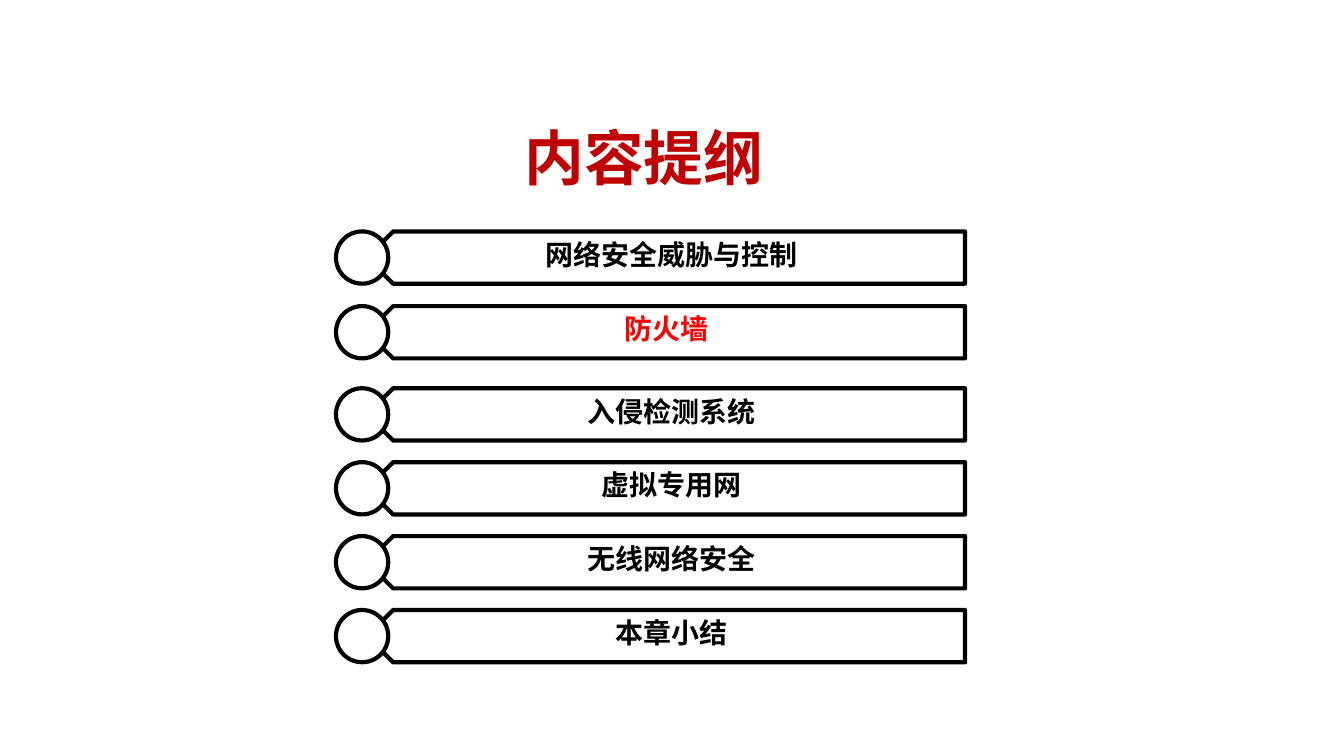
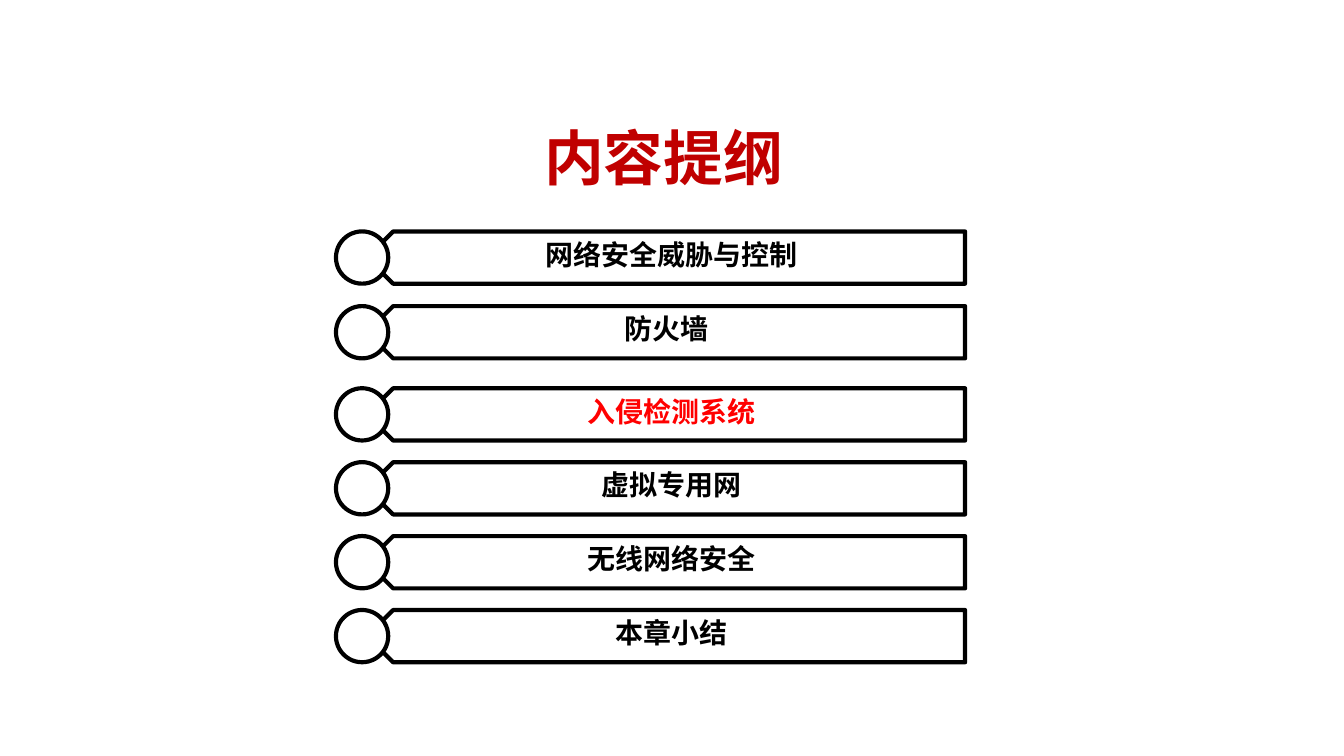
from pptx import Presentation
from pptx.dml.color import RGBColor
from pptx.enum import shapes, text
from pptx.oxml import ns
from pptx.util import Pt
from lxml import etree

BLACK, WHITE = "000000", "FFFFFF"
TITLE_RED, CURRENT_RED = "C00000", "FF0000"
LATIN, CHINESE = "Arial", "Noto Sans CJK SC"

HEADING = "内容提纲"
TOPICS = ["网络安全威胁与控制", "防火墙", "入侵检测系统", "虚拟专用网", "无线网络安全", "本章小结"]
TOPS = [124 + 40 * row for row in range(2)] + [208 + 39.6 * row for row in range(4)]
LABEL_CENTRES = {"防火墙": 357}
ROW_HEIGHT = 28
LABEL_WIDTH, LABEL_HEIGHT = 169, 25.2


def colour(value):
    return RGBColor.from_string(value)


def style_text(frame, size, value, font):
    para = frame.paragraphs[0]
    para.alignment = text.PP_ALIGN.CENTER
    for span in para.runs:
        span.font.size = Pt(size)
        span.font.bold = True
        span.font.color.rgb = colour(value)
        span.font.name = font
        east_asian = etree.SubElement(span.font._element, ns.qn("a:ea"))
        east_asian.set("typeface", CHINESE)


def add_title(page, left):
    title = page.shapes.title
    title.left, title.top, title.width, title.height = Pt(left), Pt(56), Pt(442), Pt(56)
    frame = title.text_frame
    frame.text = HEADING
    frame.vertical_anchor = text.MSO_ANCHOR.MIDDLE
    style_text(frame, 32, TITLE_RED, LATIN)


def add_outline(group, kind, left, top, width):
    shape = group.shapes.add_shape(kind, Pt(left), Pt(top), Pt(width), Pt(ROW_HEIGHT))
    shape.shadow.inherit = False
    shape.fill.solid()
    shape.fill.fore_color.rgb = colour(WHITE)
    shape.line.color.rgb = colour(BLACK)
    shape.line.width = Pt(2.25)
    return shape


def add_label(group, topic, top, value):
    left = LABEL_CENTRES.get(topic, 359.6) - LABEL_WIDTH / 2
    box = group.shapes.add_textbox(Pt(left), Pt(top - 0.5), Pt(LABEL_WIDTH), Pt(LABEL_HEIGHT))
    frame = box.text_frame
    frame.word_wrap = True
    frame.margin_top = frame.margin_bottom = Pt(0)
    frame.vertical_anchor = text.MSO_ANCHOR.MIDDLE
    frame.text = topic
    style_text(frame, 15, value, CHINESE)


def add_topic(page, topic, top, value):
    group = page.shapes.add_group_shape()
    bar = add_outline(group, shapes.MSO_SHAPE.PENTAGON, 196.6, top, 320.4)
    bar.rotation = 180
    add_outline(group, shapes.MSO_SHAPE.OVAL, 180, top, ROW_HEIGHT)
    add_label(group, topic, top, value)


def add_outline_page(deck, title_left, current):
    page = deck.slides.add_slide(deck.slide_layouts[5])
    page.background.fill.solid()
    page.background.fill.fore_color.rgb = colour(WHITE)
    add_title(page, title_left)
    for topic, top in zip(TOPICS, TOPS):
        add_topic(page, topic, top, CURRENT_RED if topic == current else BLACK)


def main():
    deck = Presentation()
    deck.slide_width, deck.slide_height = Pt(720), Pt(405)
    add_outline_page(deck, 124, "防火墙")
    add_outline_page(deck, 134.6, "入侵检测系统")
    deck.save("out.pptx")


if __name__ == "__main__":
    main()
